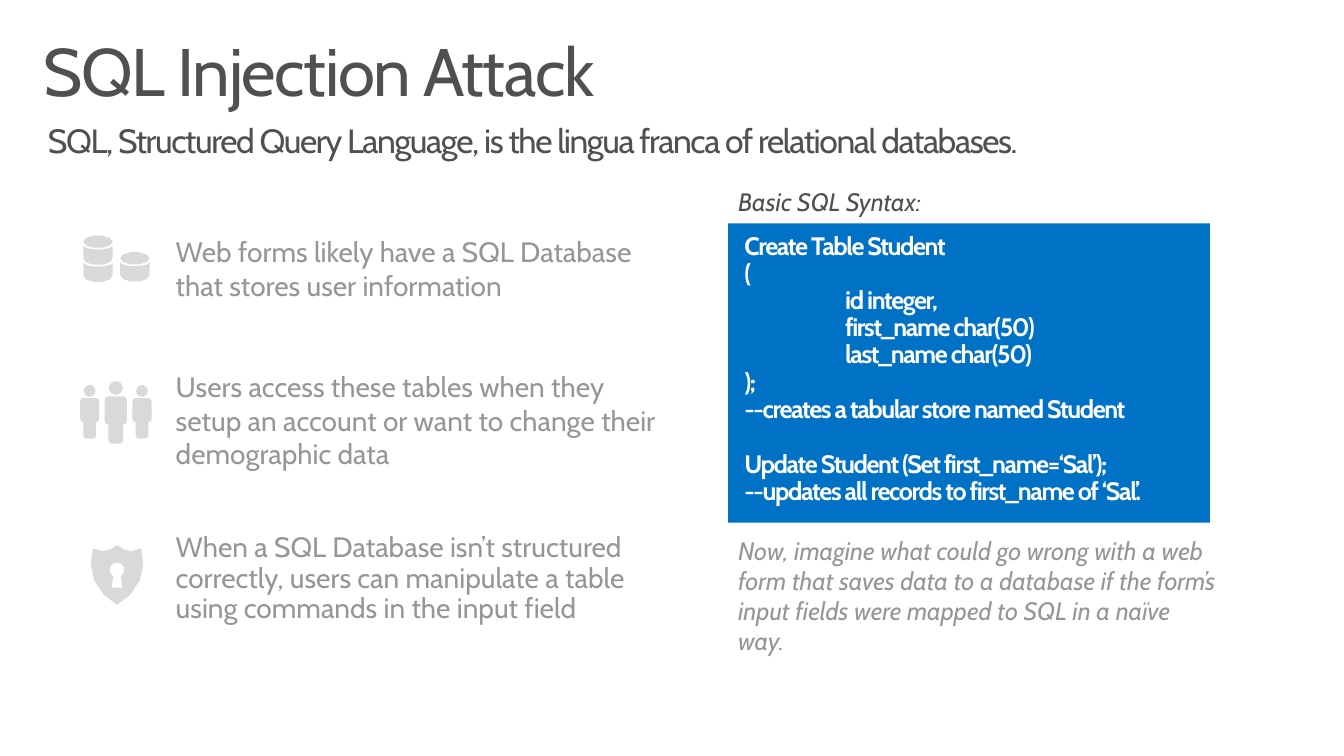
from math import cos, radians, sin

from lxml.etree import SubElement
from pptx import Presentation
from pptx.dml.color import RGBColor
from pptx.enum.shapes import MSO_SHAPE
from pptx.enum.text import MSO_ANCHOR, MSO_AUTO_SIZE, PP_ALIGN
from pptx.oxml.ns import qn
from pptx.util import Cm, Pt

COLORS = {"dark": "505050", "gray": "969696", "icon": "D9D9D9",
          "code": "0072C6", "white": "FFFFFF"}
FONT = "Cabin"
CODE_LINES = [
    "Create Table Student",
    "(",
    "\tid integer,",
    "\tfirst_name char(50)",
    "\tlast_name char(50)",
    ");",
    "--creates a tabular store named Student",
    "Update Student (Set first_name=‘Sal’);",
    "--updates all records to first_name of ‘Sal’.",
]
SECOND_STATEMENT = 7


def rgb(name):
    return RGBColor.from_string(COLORS[name])


def format_text(shape, size, color, bold=False, italic=False,
                line_spacing=None, tracking=None):
    for paragraph in shape.text_frame.paragraphs:
        paragraph.alignment = PP_ALIGN.LEFT
        if line_spacing:
            paragraph.line_spacing = line_spacing
        for run in paragraph.runs:
            font = run.font
            font.name, font.size = FONT, Pt(size)
            font.bold, font.italic = bold, italic
            font.color.rgb = rgb(color)
            if tracking:
                font._element.set("spc", str(tracking * 100))


def add_tab_stop(paragraph, position):
    tabs = SubElement(paragraph._p.get_or_add_pPr(), qn("a:tabLst"))
    SubElement(tabs, qn("a:tab"), pos=str(position), algn="l")


def set_frame(shape, side=0.41, end=0.25, wrap=True):
    frame = shape.text_frame
    frame.auto_size = MSO_AUTO_SIZE.NONE
    frame.word_wrap = wrap
    frame.vertical_anchor = MSO_ANCHOR.TOP
    frame.margin_left = frame.margin_right = Cm(side)
    frame.margin_top = frame.margin_bottom = Cm(end)


def add_text(slide, box, text, size, color, side=0.25, end=0.13, wrap=True, **style):
    shape = slide.shapes.add_textbox(*map(Cm, box))
    set_frame(shape, side, end, wrap)
    shape.text_frame.text = text
    format_text(shape, size, color, **style)


def arc(x, y, radius_x, radius_y, start, end):
    """Points along an ellipse, with angles in degrees clockwise from the right."""
    steps = round(abs(end - start) / 36)
    angles = [radians(start + (end - start) * i / steps) for i in range(steps + 1)]
    return [(x + radius_x * cos(a), y + radius_y * sin(a)) for a in angles]


def ellipse(x, y, radius_x, radius_y):
    return arc(x, y, radius_x, radius_y, 0, 360)[:-1]


def mirror(half, center):
    """Outline made of a right half, relative to the axis, and its reflection."""
    full = half + [(-x, y) for x, y in reversed(half)]
    return [(center + x, y) for x, y in full]


def disk_stack(center, lid, count):
    contours = [ellipse(center, lid, 0.37, 0.16)]
    for i in range(count):
        top = lid + 0.1 + 0.43 * i
        contours.append(arc(center, top, 0.37, 0.1, 180, 0)
                        + arc(center, top + 0.33, 0.37, 0.16, 0, 180))
    return contours


def database_icon():
    return disk_stack(0.37, 0.16, 2) + disk_stack(1.3, 0.58, 1)


def person(center, top, scale):
    corner = 0.08
    half = (arc(0.24 - corner, 0.33 + corner, corner, corner, -90, 0)
            + arc(0.24 - corner, 0.94 - corner, corner, corner, 0, 90)
            + arc(0.16 - corner, 1.35 - corner, corner, corner, 0, 90))
    contours = [ellipse(0, 0.15, 0.15, 0.15), mirror(half, 0)]
    return [[(center + x * scale, top + y * scale) for x, y in contour]
            for contour in contours]


def people_icon():
    return person(0.24, 0.1, 1) + person(0.9, 0, 1.17) + person(1.56, 0.1, 1)


def shield_icon():
    half = [(0, 0), (0.16, 0.1), (0.36, 0.15), (0.61, 0.08),
            (0.66, 0.49), (0.57, 0.89), (0.34, 1.24), (0, 1.5)]
    keyhole = arc(0.66, 0.62, 0.19, 0.19, 120, 420) + [(0.8, 1.07), (0.52, 1.07)]
    return [mirror(half, 0.66), keyhole]


def add_icon(slide, left, top, contours):
    outlines = [[(Cm(left + x), Cm(top + y)) for x, y in contour]
                for contour in contours]
    builder = slide.shapes.build_freeform(*outlines[0][0])
    for i, outline in enumerate(outlines):
        if i:
            builder.move_to(*outline[0])
        builder.add_line_segments(outline[1:], close=True)
    shape = builder.convert_to_shape()
    shape.shadow.inherit = False
    shape.fill.solid()
    shape.fill.fore_color.rgb = rgb("icon")
    shape.line.fill.background()


def add_heading(slide, left, top, width):
    title = slide.shapes.title
    title.left, title.top, title.width, title.height = map(Cm, (left, top, width, 2.49))
    set_frame(title)
    title.text_frame.text = "SQL Injection Attack"
    format_text(title, 48, "dark", line_spacing=0.9, tracking=-1)
    add_text(slide, (left + 0.11, top + 2.18, width, 2.54),
             "SQL, Structured Query Language, is the lingua franca of relational databases.",
             24, "dark", side=0.41, end=0.25, line_spacing=0.9, tracking=-1)


def add_points(slide, left, width):
    points = [
        (5.79, 1.96, None, 2.1, 5.93, database_icon,
         "Web forms likely have a SQL Database that stores user information"),
        (9.18, 2.82, None, 2.02, 9.6, people_icon,
         "Users access these tables when they setup an account or want to change "
         "their demographic data"),
        (13.32, 2.57, 0.9, 2.29, 13.74, shield_icon,
         "When a SQL Database isn’t structured correctly, users can manipulate a table "
         "using commands in the input field"),
    ]
    for top, height, spacing, icon_left, icon_top, icon, text in points:
        add_text(slide, (left, top, width, height), text, 20, "gray",
                 line_spacing=spacing)
        add_icon(slide, icon_left, icon_top, icon())


def add_syntax_example(slide, left, top):
    add_text(slide, (left, top, 5.51, 1.02), "Basic SQL Syntax:", 18, "dark",
             wrap=False, italic=True)
    panel = slide.shapes.add_shape(MSO_SHAPE.RECTANGLE, Cm(left), Cm(top + 1.06),
                                   Cm(12.14), Cm(7.54))
    panel.shadow.inherit = False
    panel.fill.solid()
    panel.fill.fore_color.rgb = rgb("code")
    panel.line.fill.background()
    set_frame(panel)
    panel.text_frame.text = "\n".join(CODE_LINES)
    format_text(panel, 18, "white", bold=True, line_spacing=0.9, tracking=-1)
    paragraphs = panel.text_frame.paragraphs
    paragraphs[SECOND_STATEMENT].space_before = Pt(19.7)
    for paragraph, line in zip(paragraphs, CODE_LINES):
        if line.startswith("\t"):
            add_tab_stop(paragraph, Cm(2.54))
    add_text(slide, (left, top + 8.78, 12.6, 3.33),
             "Now, imagine what could go wrong with a web form that saves data to a "
             "database if the form’s input fields were mapped to SQL in a naïve way.",
             18, "gray", italic=True)


def main():
    presentation = Presentation()
    presentation.slide_width, presentation.slide_height = Cm(33.87), Cm(19.05)
    slide = presentation.slides.add_slide(presentation.slide_layouts[5])
    add_heading(slide, 0.69, 0.71, 32.39)
    add_points(slide, 4.18, 12.7)
    add_syntax_example(slide, 18.35, 4.57)
    presentation.save("out.pptx")


if __name__ == "__main__":
    main()
